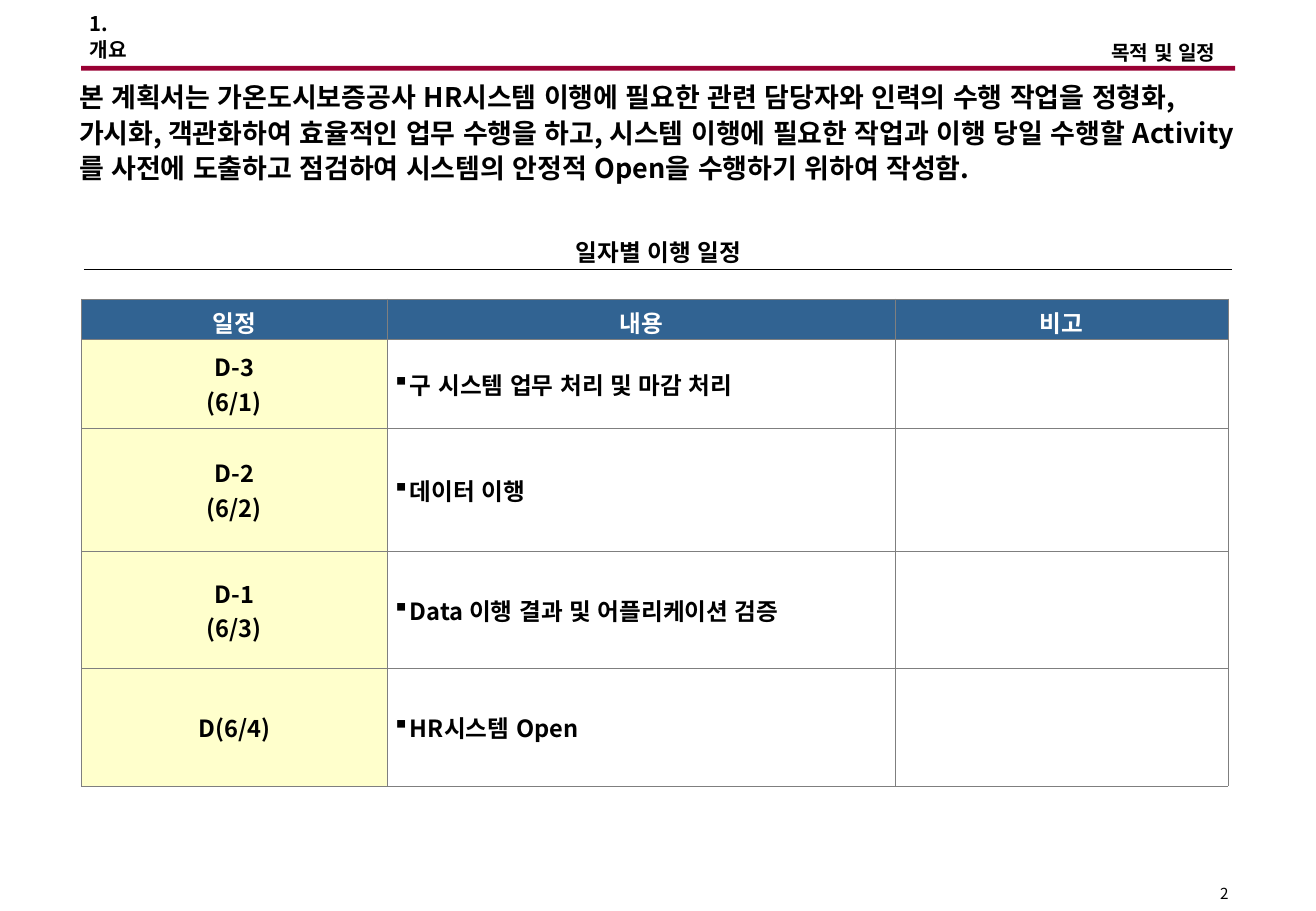
import pptx
import pptx.util
import pptx.dml.color
import pptx.enum.lang
import pptx.enum.shapes
import pptx.enum.text
import pptx.oxml.ns
import lxml.etree

Pt = pptx.util.Pt
ALIGN = pptx.enum.text.PP_ALIGN
ANCHOR = pptx.enum.text.MSO_ANCHOR
FIT = pptx.enum.text.MSO_AUTO_SIZE
FONT = "Noto Sans CJK KR"


def rgb(value):
    return pptx.dml.color.RGBColor.from_string(value)


def sub(parent, tag, **attrs):
    return lxml.etree.SubElement(parent, pptx.oxml.ns.qn(tag), attrs)


def write(tf, text, size=14, color="000000", bold=True, align=ALIGN.LEFT,
          spacing=None, bullet=None):
    for i, line in enumerate(text.split("\n")):
        p = tf.paragraphs[0] if i == 0 else tf.add_paragraph()
        p.alignment = align
        p.line_spacing = spacing
        if bullet:
            pPr = p._p.get_or_add_pPr()
            pPr.set("marL", str(Pt(9)))
            pPr.set("indent", str(-Pt(9)))
            sub(sub(pPr, "a:buClr"), "a:srgbClr", val=color)
            sub(pPr, "a:buChar", char=bullet)
        r = p.add_run()
        r.text = line
        r.font.size = Pt(size)
        r.font.bold = bold
        r.font.name = FONT
        r.font.language_id = pptx.enum.lang.MSO_LANGUAGE_ID.KOREAN
        r.font.color.rgb = rgb(color)
        rPr = r._r.get_or_add_rPr()
        rPr.set("kern", "0")
        sub(rPr, "a:ea", typeface=FONT)


class Deck:
    """Holds the slide and draws its elements, with lengths in points."""

    def __init__(self, width, height):
        self.prs = pptx.Presentation()
        self.prs.slide_width = Pt(width)
        self.prs.slide_height = Pt(height)
        self.s = self.prs.slides.add_slide(self.prs.slide_layouts[6])
        self.border = "7F7F7F"

    def bar(self, x, y, w, h, color):
        kind = pptx.enum.shapes.MSO_SHAPE.RECTANGLE
        sp = self.s.shapes.add_shape(kind, Pt(x), Pt(y), Pt(w), Pt(h))
        sp.shadow.inherit = False
        sp.fill.solid()
        sp.fill.fore_color.rgb = rgb(color)
        sp.line.fill.background()

    def line(self, x1, y1, x2, y2, color="000000", width=0.75):
        kind = pptx.enum.shapes.MSO_CONNECTOR.STRAIGHT
        sp = self.s.shapes.add_connector(kind, Pt(x1), Pt(y1), Pt(x2), Pt(y2))
        sp.line.color.rgb = rgb(color)
        sp.line.width = Pt(width)
        sub(sp._element.spPr, "a:effectLst")

    def text(self, x, y, w, h, text, wrap=False, anchor=ANCHOR.TOP,
             insets=(7.2, 3.6, 7.2, 3.6), **fmt):
        tf = self.s.shapes.add_textbox(Pt(x), Pt(y), Pt(w), Pt(h)).text_frame
        tf.word_wrap = wrap
        tf.auto_size = FIT.NONE
        tf.vertical_anchor = anchor
        (tf.margin_left, tf.margin_top,
         tf.margin_right, tf.margin_bottom) = map(Pt, insets)
        write(tf, text, **fmt)

    def cell(self, cell, text, side, bottom=3.6, fill=None, **fmt):
        cell.margin_left = cell.margin_right = Pt(side)
        cell.margin_top, cell.margin_bottom = Pt(3.6), Pt(bottom)
        cell.vertical_anchor = ANCHOR.MIDDLE
        tcPr = cell._tc.get_or_add_tcPr()
        for edge in ("a:lnL", "a:lnR", "a:lnT", "a:lnB"):
            ln = sub(tcPr, edge, w=str(Pt(0.23)))
            sub(sub(ln, "a:solidFill"), "a:srgbClr", val=self.border)
        if fill:
            cell.fill.solid()
            cell.fill.fore_color.rgb = rgb(fill)
        else:
            cell.fill.background()
        if text:
            write(cell.text_frame, text, **fmt)

    def schedule(self, x, y, widths, heights, header, rows):
        table = self.s.shapes.add_table(
            len(heights), len(widths), Pt(x), Pt(y),
            Pt(sum(widths)), Pt(sum(heights))).table
        table.horz_banding = False
        table.first_row = False
        for column, width in zip(table.columns, widths):
            column.width = Pt(width)
        for row, height in zip(table.rows, heights):
            row.height = Pt(height)
        for c, title in enumerate(header):
            self.cell(table.cell(0, c), title, 1.4, bottom=0, fill="316392",
                      color="FFFFFF", align=ALIGN.CENTER)
        for i, (day, task) in enumerate(rows, 1):
            self.cell(table.cell(i, 0), day, 7.2, fill="FFFFCC",
                      align=ALIGN.CENTER)
            self.cell(table.cell(i, 1), task, 2.9, bullet="▪")
            self.cell(table.cell(i, 2), "", 7.2)


def main():
    deck = Deck(780.13, 540)
    deck.bar(48.2, 39, 684, 2.9, "990033")
    deck.text(683.3, 520.6, 48.2, 15.8, "2", anchor=ANCHOR.BOTTOM,
              insets=(1.4, 1.4, 3.2, 1.4), size=9, bold=False,
              align=ALIGN.RIGHT)
    deck.text(651.6, 18.7, 76.3, 23, "목적 및 일정", size=12,
              align=ALIGN.CENTER, spacing=1.1)
    deck.text(46.1, 17.3, 52.6, 23, "1. 개요", wrap=True,
              anchor=ANCHOR.BOTTOM, insets=(7.2, 3.6, 14, 3.6), size=12,
              spacing=1.1)
    deck.text(39.8, 42.5, 700.6, 70.6,
              "본 계획서는 가온도시보증공사 HR시스템 이행에 필요한 관련 담당자와 "
              "인력의 수행 작업을 정형화, 가시화, 객관화하여 효율적인 업무 수행을 "
              "하고, 시스템 이행에 필요한 작업과 이행 당일 수행할 Activity를 사전에 "
              "도출하고 점검하여 시스템의 안정적 Open을 수행하기 위하여 작성함.",
              wrap=True, size=16, spacing=1.1)
    deck.text(334.1, 136.1, 113, 25.9, "일자별 이행 일정",
              align=ALIGN.CENTER, spacing=1.1)
    deck.line(49.7, 159.8, 730.1, 159.8)
    deck.schedule(
        48.2, 177.1, (181.5, 301, 197.5), (24.2, 52.5, 73, 69.5, 69.5),
        ("일정", "내용", "비고"),
        (("D-3\n(6/1)", "구 시스템 업무 처리 및 마감 처리"),
         ("D-2\n(6/2)", "데이터 이행"),
         ("D-1\n(6/3)", "Data 이행 결과 및 어플리케이션 검증"),
         ("D(6/4)", "HR시스템 Open")))
    deck.prs.save("out.pptx")


if __name__ == "__main__":
    main()
